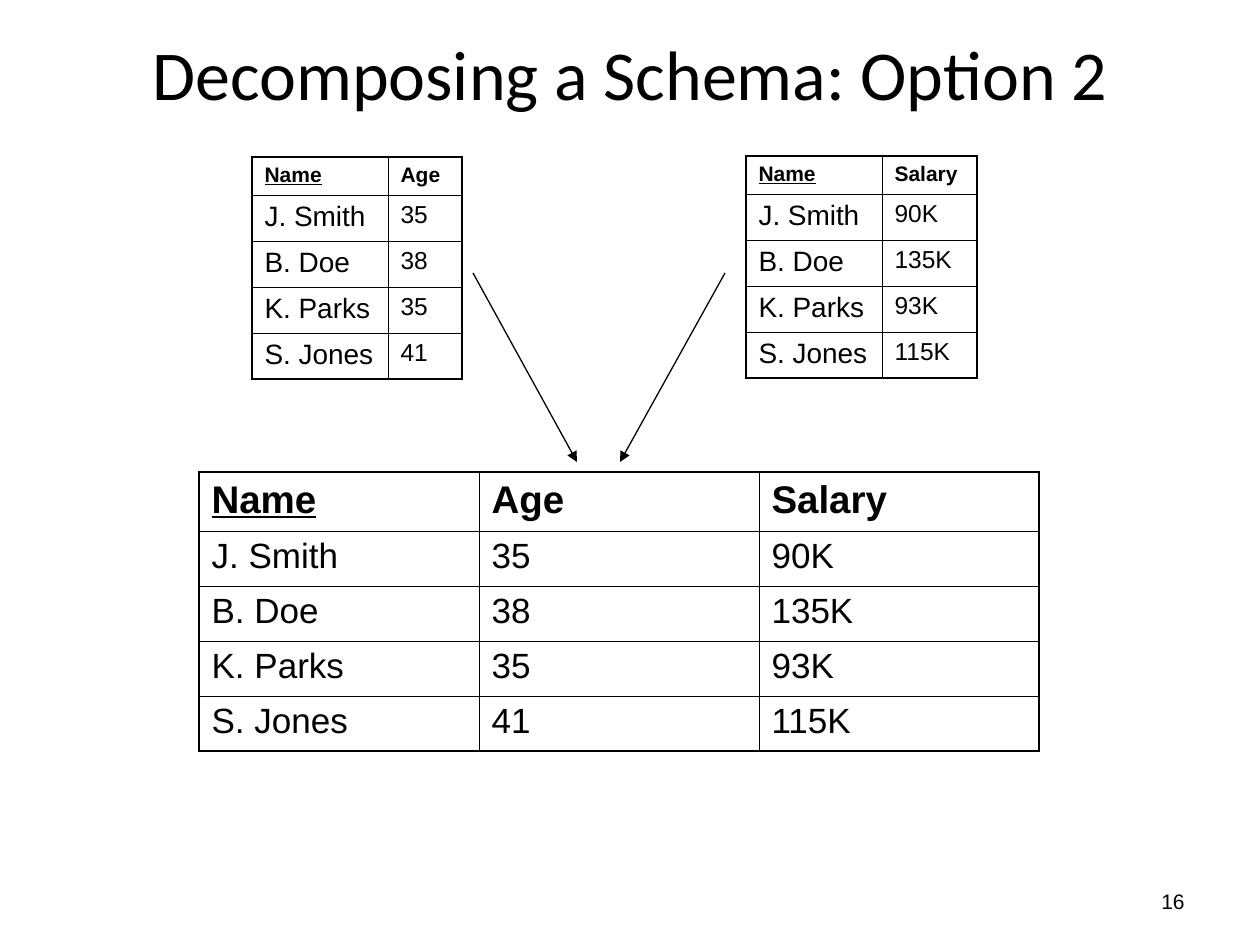
from lxml.etree import SubElement as Sub
from pptx import Presentation
from pptx.dml.color import RGBColor
from pptx.enum.shapes import MSO_CONNECTOR as Conn
from pptx.enum.text import MSO_ANCHOR as Anchor, PP_ALIGN as Align
from pptx.oxml import parse_xml
from pptx.oxml.ns import nsdecls, qn
from pptx.util import Pt

BLACK = RGBColor(0, 0, 0)
SCALE = 914400 / 126
THIN, THICK = 0.45, 1.08

TITLE = "Decomposing a Schema: Option 2"
NUMBER = "16"
HEAD = ("Name", "Age", "Salary")
PEOPLE = [
    ("J. Smith", "35", "90K"),
    ("B. Doe", "38", "135K"),
    ("K. Parks", "35", "93K"),
    ("S. Jones", "41", "115K"),
]
TABLES = [
    dict(left=199, top=472, cols=(0, 1, 2), wide=(280, 280, 280),
         high=(59, 55), head=22, key=20, rest=20),
    dict(left=252, top=157, cols=(0, 1), wide=(136, 74),
         high=(38, 46), head=12, key=16, rest=14),
    dict(left=746, top=156, cols=(0, 2), wide=(136, 95),
         high=(38, 46), head=12, key=16, rest=14),
]
ARROWS = [((473, 273), (577, 462)), ((725, 273), (620, 462))]


def px(*nums):
    return [round(n * SCALE) for n in nums]


def style(para, size, name="Arial", bold=False, under=False):
    for run in para.runs:
        font = run.font
        font.size, font.name = Pt(size), name
        font.bold, font.underline = bold, under
        font.color.rgb = BLACK


def border(cell, outer):
    props = cell._tc.get_or_add_tcPr()
    for spot, side in enumerate("LRTB"):
        width = Pt(THICK if side in outer else THIN)
        props.insert(spot, parse_xml(
            f'<a:ln{side} {nsdecls("a")} w="{width}"><a:solidFill>'
            f'<a:srgbClr val="{BLACK}"/></a:solidFill></a:ln{side}>'))


def add_grid(slide, left, top, cols, wide, high, head, key, rest):
    rows = [[row[c] for c in cols] for row in [HEAD] + PEOPLE]
    tall = [high[0]] + [high[1]] * len(PEOPLE)
    table = slide.shapes.add_table(
        len(rows), len(cols), *px(left, top, sum(wide), sum(tall))).table
    table.first_row = table.horz_banding = False
    for col, width in zip(table.columns, px(*wide)):
        col.width = width
    for row, height in zip(table.rows, px(*tall)):
        row.height = height
    for r, row in enumerate(rows):
        for c, text in enumerate(row):
            cell = table.cell(r, c)
            cell.text_frame.text = text
            size = head if r == 0 else rest if c else key
            style(cell.text_frame.paragraphs[0], size,
                  bold=r == 0, under=r == 0 and c == 0)
            cell.fill.background()
            edges = {"L": c == 0, "R": c == len(cols) - 1,
                     "T": r == 0, "B": r == len(rows) - 1}
            border(cell, [side for side in edges if edges[side]])


def add_arrow(slide, start, end):
    line = slide.shapes.add_connector(Conn.STRAIGHT, *px(*start, *end))
    line.line.color.rgb = BLACK
    line.line.width = Pt(0.75)
    Sub(line.line._get_or_add_ln(), qn("a:tailEnd"), type="triangle")
    Sub(line._element.spPr, qn("a:effectLst"))


def place(shape, text, box, size, name, align):
    shape.left, shape.top, shape.width, shape.height = px(*box)
    frame = shape.text_frame
    frame.text = text
    frame.word_wrap = True
    frame.vertical_anchor = Anchor.MIDDLE
    frame.paragraphs[0].alignment = align
    style(frame.paragraphs[0], size, name)


def main():
    deck = Presentation()
    deck.slide_width, deck.slide_height = px(1260, 945)
    slide = deck.slides.add_slide(deck.slide_layouts[5])
    place(slide.shapes.title, TITLE, (63, 10, 1134, 126),
          40, "Calibri", Align.CENTER)
    big, *small = TABLES
    add_grid(slide, **big)
    for start, end in ARROWS:
        add_arrow(slide, start, end)
    for table in small:
        add_grid(slide, **table)
    box = (903, 876, 294, 50)
    place(slide.shapes.add_textbox(*px(*box)), NUMBER, box,
          12, "Arial", Align.RIGHT)
    deck.save("out.pptx")


if __name__ == "__main__":
    main()
